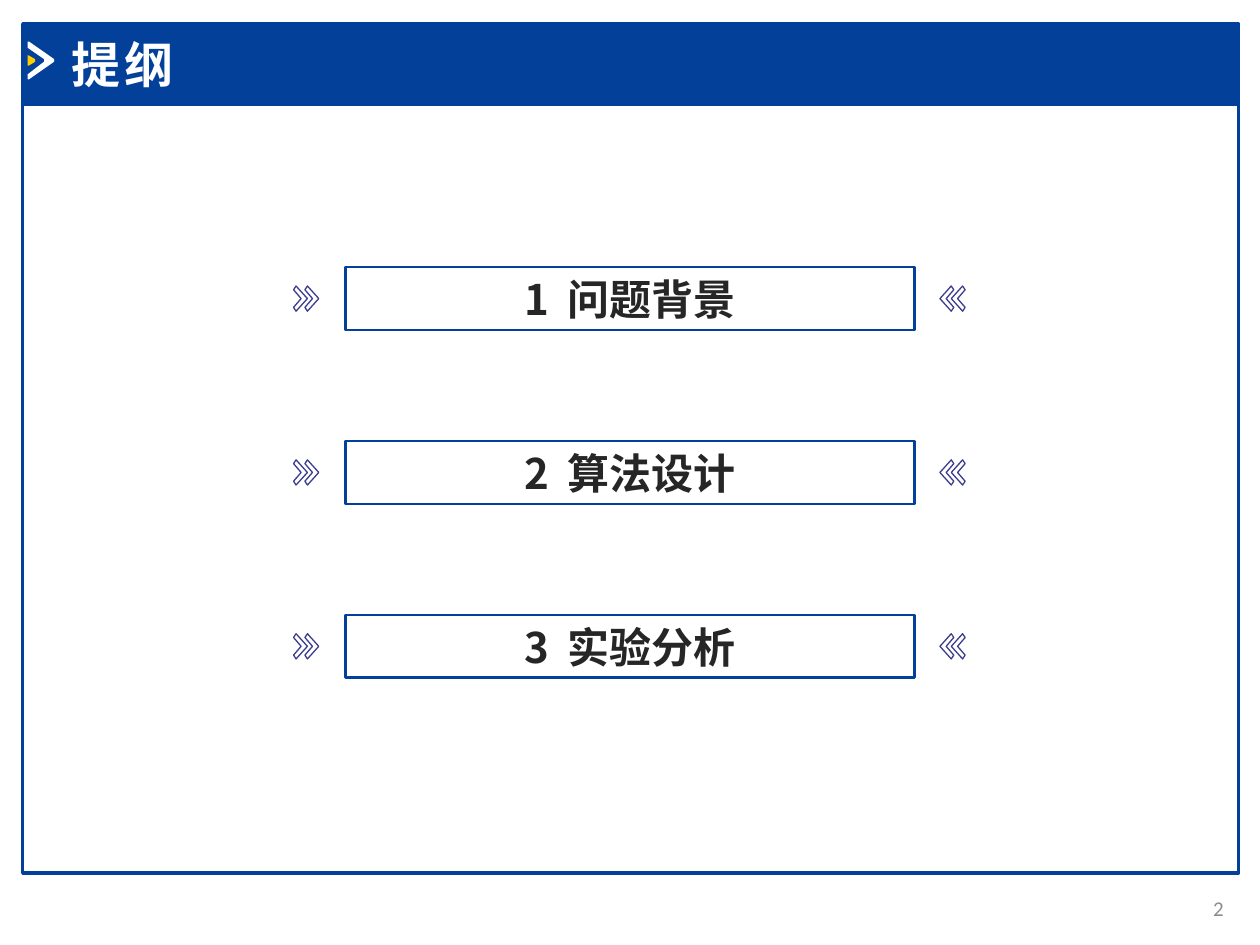
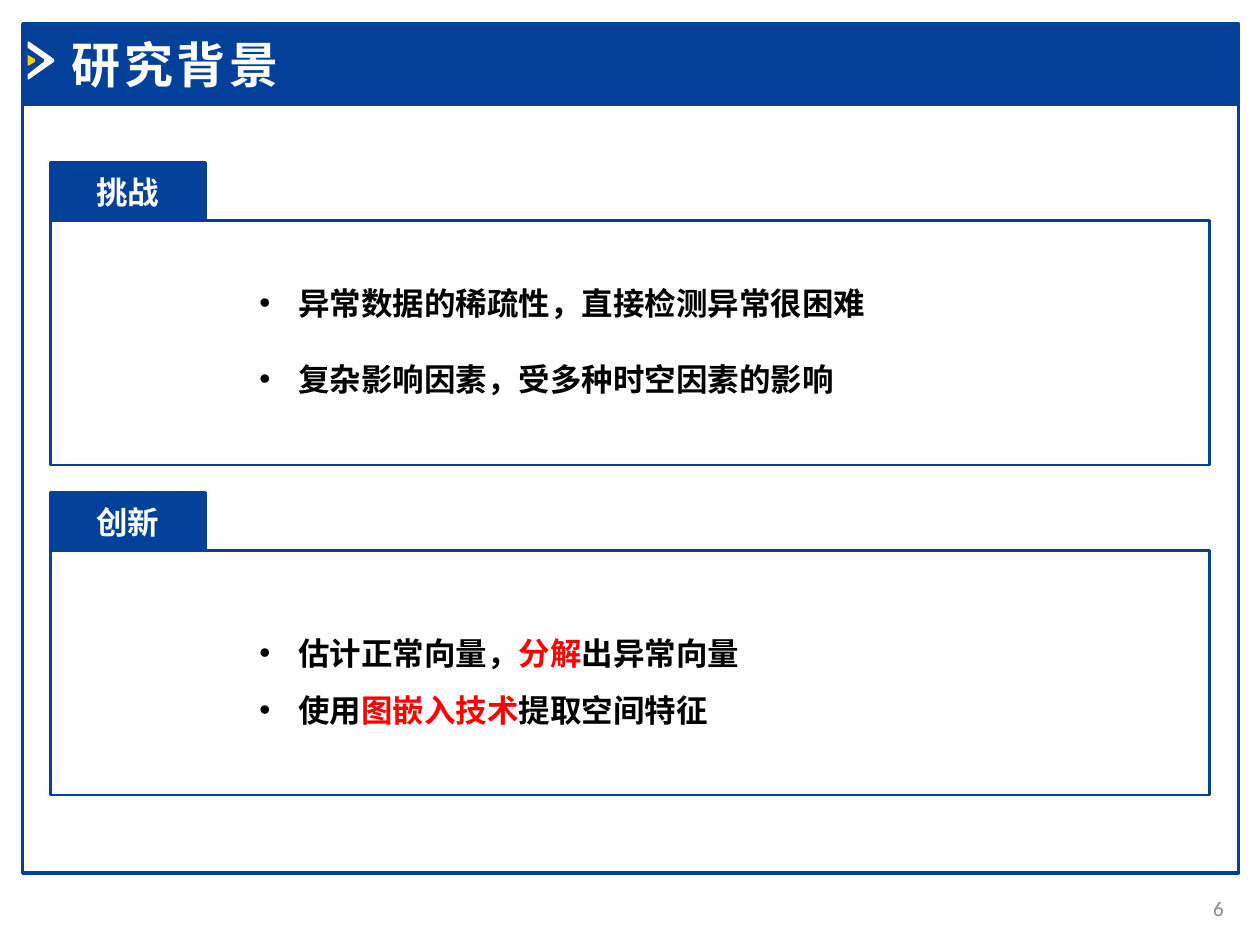
from lxml import etree
from pptx import Presentation
from pptx import util as u
from pptx.dml.color import RGBColor
from pptx.enum import shapes, text
from pptx.oxml.ns import qn

COLOURS = {
    "blue": "02409A",
    "violet": "3C3C8E",
    "white": "FFFFFF",
    "yellow": "FFCC00",
    "dark": "262626",
    "black": "000000",
    "red": "FF0000",
    "grey": "8C8C8C",
}
LATIN = "Calibri"
CJK = "Noto Sans CJK SC"

FRAME_LEFT, FRAME_WIDTH = 0.18, 9.65
BAND_TOP, BAND_HEIGHT, FRAME_HEIGHT = 0.19, 0.64, 6.1
PANEL_LEFT, PANEL_WIDTH, PANEL_HEIGHT = 0.4, 9.2, 1.94
TAB_WIDTH, TAB_HEIGHT = 1.23, 0.46

HEADER_ARROW = [(0.22, 0.33), (0.23, 0.33), (0.43, 0.47), (0.43, 0.49),
                (0.23, 0.63), (0.22, 0.63), (0.22, 0.59), (0.35, 0.49),
                (0.35, 0.47), (0.22, 0.38)]
HEADER_TIP = [(0.22, 0.44), (0.23, 0.44), (0.28, 0.47), (0.28, 0.49),
              (0.23, 0.52), (0.22, 0.52)]
CHEVRON = [(0.02, -0.1), (0, -0.07), (0.06, 0), (0, 0.07), (0.02, 0.1), (0.11, 0)]


def rgb(name):
    return RGBColor.from_string(COLOURS[name])


def paint(shape, fill=None, line=None, weight=1.5):
    shape.shadow.inherit = False
    if fill:
        shape.fill.solid()
        shape.fill.fore_color.rgb = rgb(fill)
    else:
        shape.fill.background()
    if line:
        shape.line.color.rgb = rgb(line)
        shape.line.width = u.Pt(weight)
    else:
        shape.line.fill.background()


def add_box(slide, left, top, width, height, **style):
    box = slide.shapes.add_shape(
        shapes.MSO_SHAPE.RECTANGLE, *map(u.Inches, (left, top, width, height)))
    paint(box, **style)
    return box


def add_outline(slide, points, **style):
    start, *rest = [(u.Inches(x), u.Inches(y)) for x, y in points]
    builder = slide.shapes.build_freeform(*start)
    builder.add_line_segments(rest, close=True)
    paint(builder.convert_to_shape(), **style)


def add_run(paragraph, words, size, colour, bold=True, latin=LATIN, spacing=0):
    run = paragraph.add_run()
    run.text = words
    run.font.size = u.Pt(size)
    run.font.bold = bold
    run.font.color.rgb = rgb(colour)
    run.font.name = latin
    properties = run.font._element
    etree.SubElement(properties, qn("a:ea")).set("typeface", CJK)
    if spacing:
        properties.set("spc", str(round(spacing * 100)))


def open_frame(shape, align, anchor=text.MSO_ANCHOR.MIDDLE):
    frame = shape.text_frame
    frame.word_wrap = True
    frame.auto_size = text.MSO_AUTO_SIZE.NONE
    frame.vertical_anchor = anchor
    frame.paragraphs[0].alignment = align
    return frame


def add_base(prs, heading, number):
    slide = prs.slides.add_slide(prs.slide_layouts[5])
    add_box(slide, FRAME_LEFT, BAND_TOP + BAND_HEIGHT, FRAME_WIDTH, FRAME_HEIGHT,
            line="blue", weight=2)
    add_box(slide, FRAME_LEFT, BAND_TOP, FRAME_WIDTH, BAND_HEIGHT,
            fill="blue", line="blue", weight=2)
    add_outline(slide, HEADER_ARROW, fill="white")
    add_outline(slide, HEADER_TIP, fill="yellow")

    title = slide.shapes.title
    title.left, title.top, title.width, title.height = map(
        u.Inches, (0.47, 0.22, 3.56, 0.57))
    slide.shapes._spTree.append(title._element)
    frame = open_frame(title, text.PP_ALIGN.LEFT)
    add_run(frame.paragraphs[0], heading, 28, "white", spacing=2)

    page = slide.shapes.add_textbox(*map(u.Inches, (9.22, 7.01, 0.59, 0.4)))
    frame = open_frame(page, text.PP_ALIGN.RIGHT)
    add_run(frame.paragraphs[0], number, 12, "grey", bold=False)
    return slide


def add_agenda_item(slide, top, number, topic):
    height = 0.5
    box = add_box(slide, 2.74, top, 4.52, height, line="blue")
    paragraph = open_frame(box, text.PP_ALIGN.CENTER).paragraphs[0]
    add_run(paragraph, number, 24, "dark", latin=CJK)
    add_run(paragraph, " ", 24, "dark", latin=CJK, spacing=5.4)
    add_run(paragraph, topic, 24, "dark", latin=CJK)
    middle = top + height / 2
    for tail, direction in ((2.33, 1), (2.42, 1), (7.66, -1), (7.57, -1)):
        points = [(tail + direction * x, middle + y) for x, y in CHEVRON]
        add_outline(slide, points, line="violet", weight=0.75)


def add_panel(slide, top, label):
    add_box(slide, PANEL_LEFT, top + TAB_HEIGHT, PANEL_WIDTH, PANEL_HEIGHT, line="blue")
    tab = add_box(slide, PANEL_LEFT, top, TAB_WIDTH, TAB_HEIGHT, fill="blue", line="blue")
    frame = open_frame(tab, text.PP_ALIGN.CENTER)
    add_run(frame.paragraphs[0], label, 18, "white")


def add_bullets(slide, top, height, points, line_height, gap=0):
    box = slide.shapes.add_textbox(*map(u.Inches, (1.96, top, 6.36, height)))
    frame = open_frame(box, text.PP_ALIGN.LEFT, text.MSO_ANCHOR.TOP)
    for index, runs in enumerate(points):
        paragraph = frame.add_paragraph() if index else frame.paragraphs[0]
        properties = paragraph._p.get_or_add_pPr()
        properties.set("marL", str(u.Inches(0.31)))
        properties.set("indent", str(-u.Inches(0.31)))
        etree.SubElement(properties, qn("a:buFont")).set("typeface", "Arial")
        etree.SubElement(properties, qn("a:buChar")).set("char", "•")
        paragraph.line_spacing = u.Pt(line_height)
        if index and gap:
            paragraph.space_before = u.Pt(gap)
        for words, colour in runs:
            add_run(paragraph, words, 18, colour, latin=CJK)


def build_agenda(prs):
    slide = add_base(prs, "提纲", "2")
    for index, topic in enumerate(("问题背景", "算法设计", "实验分析")):
        add_agenda_item(slide, 2.12 + 1.38 * index, str(index + 1), topic)


def build_background(prs):
    slide = add_base(prs, "研究背景", "6")
    add_panel(slide, 1.29, "挑战")
    add_bullets(slide, 2.2, 1.01, [
        [("异常数据的稀疏性，直接检测异常很困难", "black")],
        [("复杂影响因素，受多种时空因素的影响", "black")],
    ], line_height=21.7, gap=21.7)
    add_panel(slide, 3.91, "创新")
    add_bullets(slide, 4.83, 0.96, [
        [("估计正常向量，", "black"), ("分解", "red"), ("出异常向量", "black")],
        [("使用", "black"), ("图嵌入技术", "red"), ("提取空间特征", "black")],
    ], line_height=32.6)


def main():
    prs = Presentation()
    prs.slide_width, prs.slide_height = u.Inches(10), u.Inches(7.5)
    build_agenda(prs)
    build_background(prs)
    prs.save("out.pptx")


if __name__ == "__main__":
    main()
